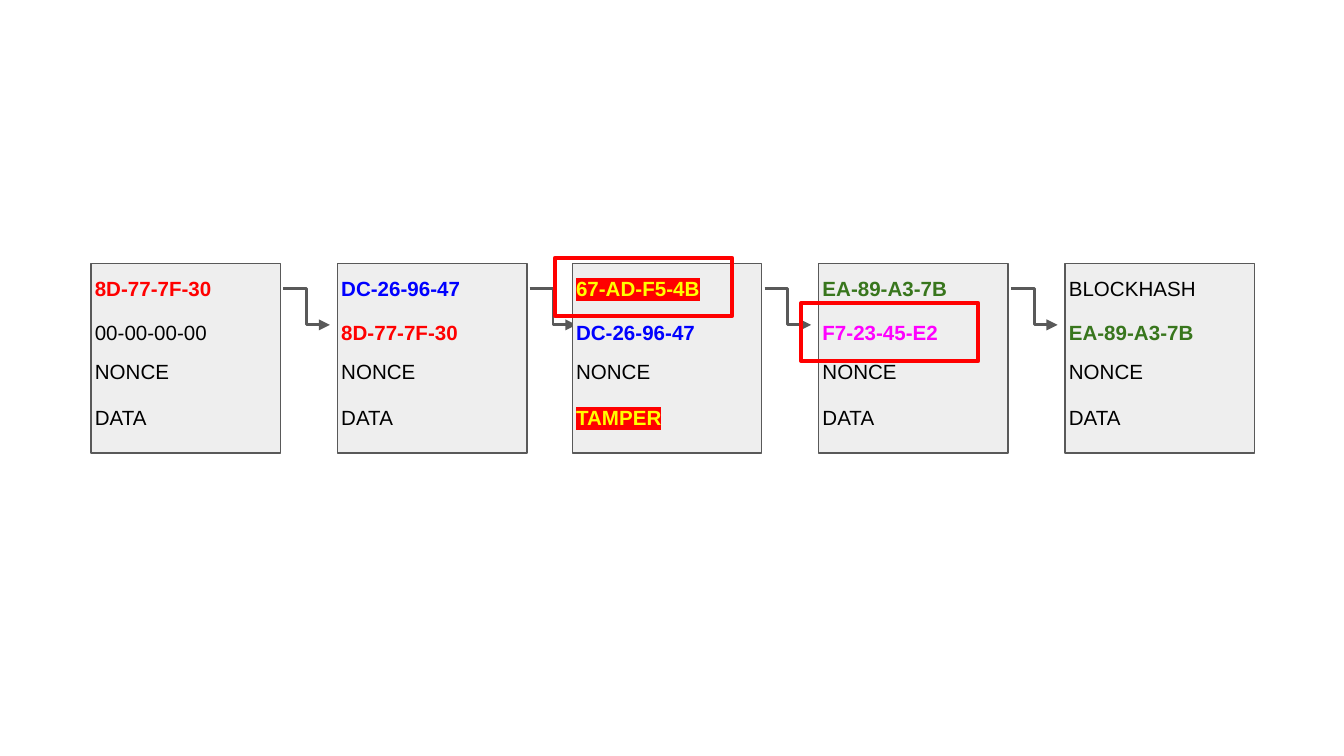
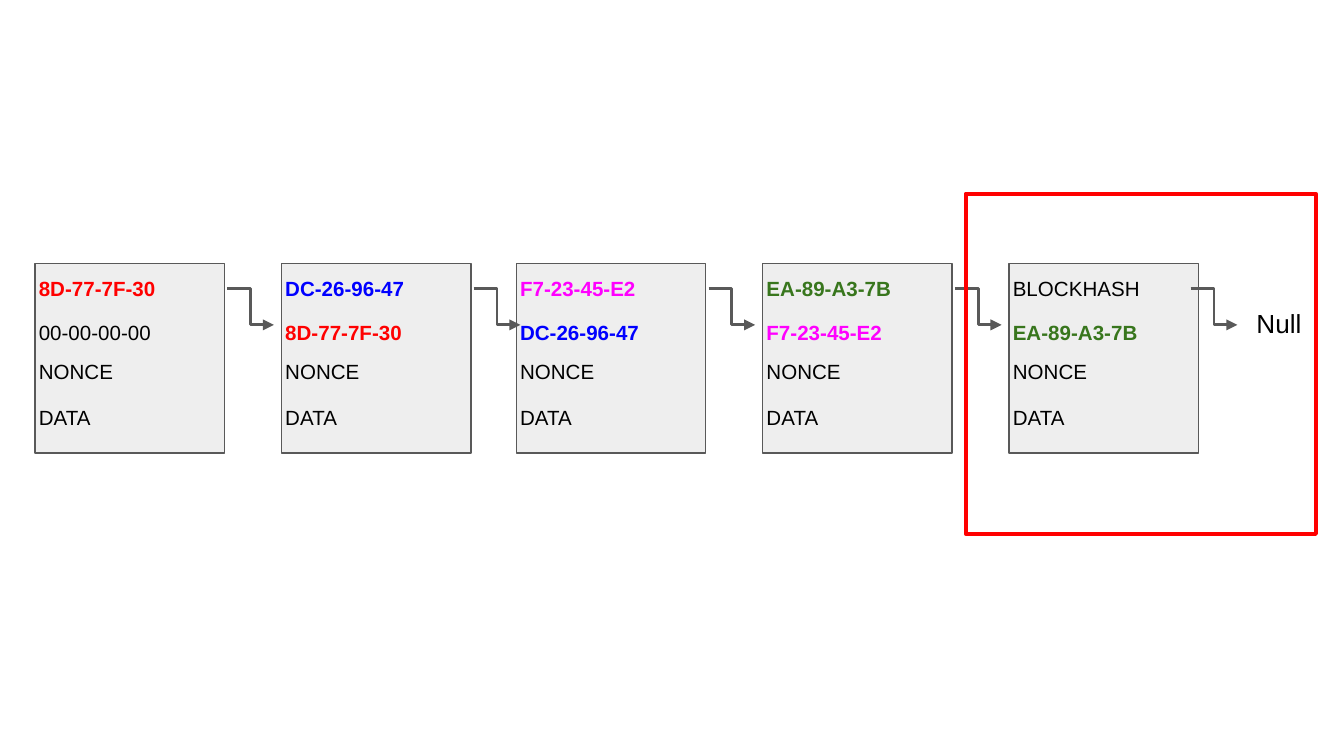
from lxml.etree import SubElement
from pptx import Presentation
from pptx.dml.color import RGBColor
from pptx.enum.shapes import MSO_CONNECTOR, MSO_SHAPE
from pptx.enum.text import MSO_AUTO_SIZE
from pptx.oxml import parse_xml
from pptx.oxml.ns import nsdecls, qn
from pptx.util import Pt

COLORS = {
    "block": "EEEEEE", "line": "595959", "alarm": "FF0000",
    "black": "000000", "red": "FF0000", "blue": "0000FF",
    "green": "38761D", "magenta": "FF00FF", "yellow": "FFFF00",
}
FONT = "Arial"
INSET = 7.2

# Block geometry, in points
SIDE = 101.5
TOP = 141.1
OFFSETS = [0, 132, 257.8, 389.8, 521.8]
ROW_OFFSETS = [0, 23.8, 44.8, 69.1]
ROW_WIDTHS = [110, 120, 120, 120]

# Each field is (text, colour)
GENESIS = ("8D-77-7F-30", "red")
SECOND = ("DC-26-96-47", "blue")
THIRD = ("F7-23-45-E2", "magenta")
FOURTH = ("EA-89-A3-7B", "green")
FORGED = ("67-AD-F5-4B", "yellow")
LAST = ("BLOCKHASH", "black")
ZERO = ("00-00-00-00", "black")
NONCE = ("NONCE", "black")
DATA = ("DATA", "black")
TAMPER = ("TAMPER", "yellow")

VALID_CHAIN = [
    (GENESIS, ZERO, NONCE, DATA),
    (SECOND, GENESIS, NONCE, DATA),
    (THIRD, SECOND, NONCE, DATA),
    (FOURTH, THIRD, NONCE, DATA),
    (LAST, FOURTH, NONCE, DATA),
]
TAMPERED = 2
TAMPERED_BLOCK = (FORGED, SECOND, NONCE, TAMPER)


def rgb(name):
    return RGBColor.from_string(COLORS[name])


def add_label(shapes, field, x, y, w, h, size=11):
    text, color = field
    tf = shapes.add_textbox(Pt(x), Pt(y), Pt(w), Pt(h)).text_frame
    tf.word_wrap = True
    tf.auto_size = MSO_AUTO_SIZE.SHAPE_TO_FIT_TEXT
    tf.margin_left = tf.margin_right = Pt(INSET)
    tf.margin_top = tf.margin_bottom = Pt(INSET)
    tf.text = text
    font = tf.paragraphs[0].runs[0].font
    font.name, font.size = FONT, Pt(size)
    font.color.rgb = rgb(color)
    if color != "black":
        font.bold = True
    if color == "yellow":
        # Tampered fields are highlighted in red
        highlight = parse_xml(
            f'<a:highlight {nsdecls("a")}><a:srgbClr val="{COLORS["alarm"]}"/></a:highlight>')
        r_pr = tf.paragraphs[0].runs[0]._r.get_or_add_rPr()
        r_pr.find(qn("a:solidFill")).addnext(highlight)


def add_rect(shapes, x, y, w, h, line, width, fill=None):
    sp = shapes.add_shape(MSO_SHAPE.RECTANGLE, Pt(x), Pt(y), Pt(w), Pt(h))
    sp.shadow.inherit = False
    if fill:
        sp.fill.solid()
        sp.fill.fore_color.rgb = rgb(fill)
    else:
        sp.fill.background()
    sp.line.color.rgb = rgb(line)
    sp.line.width = Pt(width)


def add_frame(slide, x, y, w, h):
    add_rect(slide.shapes, x, y, w, h, "alarm", 2.25)


def add_block(slide, fields, x, y=TOP):
    """One block of the chain: hash, previous hash, nonce and data."""
    shapes = slide.shapes.add_group_shape().shapes
    add_rect(shapes, x, y, SIDE, SIDE, "line", 0.75, "block")
    for row, (field, dy, w) in enumerate(zip(fields, ROW_OFFSETS, ROW_WIDTHS)):
        linked = field == SECOND or (row == 1 and field != ZERO)
        add_label(shapes, field, x - 5.1, y + dy, w, 41 if linked else 28)


def add_arrow(slide, block_x, gap=103, y=TOP + 13.6):
    """Elbow arrow from a block's hash to the next block."""
    x = block_x + gap
    cxn = slide.shapes.add_connector(
        MSO_CONNECTOR.ELBOW, Pt(x), Pt(y), Pt(x + 25), Pt(y + 19.4))
    cxn.line.color.rgb = rgb("line")
    cxn.line.width = Pt(1.5)
    SubElement(cxn.line._get_or_add_ln(), qn("a:tailEnd"), type="triangle")
    SubElement(cxn._element.spPr, qn("a:effectLst"))


def add_chain(slide, left, tampered=False):
    xs = [left + dx for dx in OFFSETS]
    for i, (fields, x) in enumerate(zip(VALID_CHAIN, xs)):
        if not (tampered and i == TAMPERED):
            add_block(slide, fields, x)
    for x in xs[:-1]:
        add_arrow(slide, x)
    if tampered:
        # The tampered block lies over the arrows
        add_block(slide, TAMPERED_BLOCK, xs[TAMPERED])
    return xs


def tampered_slide(slide):
    xs = add_chain(slide, 48.8, tampered=True)
    # Hashes that no longer match
    add_frame(slide, xs[TAMPERED] - 9.3, TOP - 2.9, 95, 31)
    add_frame(slide, xs[TAMPERED + 1] - 9.5, TOP + 21.3, 95, 31)


def chain_end_slide(slide):
    xs = add_chain(slide, 18.8)
    # The last block points to nothing
    add_arrow(slide, xs[-1], gap=97.3)
    add_label(slide.shapes, ("Null", "black"), 666, 157.7, 54, 31.7, size=14)
    add_frame(slide, xs[-1] - 23.2, TOP - 37.3, 187.5, 182.2)


def main():
    prs = Presentation()
    prs.slide_width, prs.slide_height = Pt(720), Pt(405)
    for build in (tampered_slide, chain_end_slide):
        build(prs.slides.add_slide(prs.slide_layouts[6]))
    prs.save("out.pptx")


if __name__ == "__main__":
    main()
